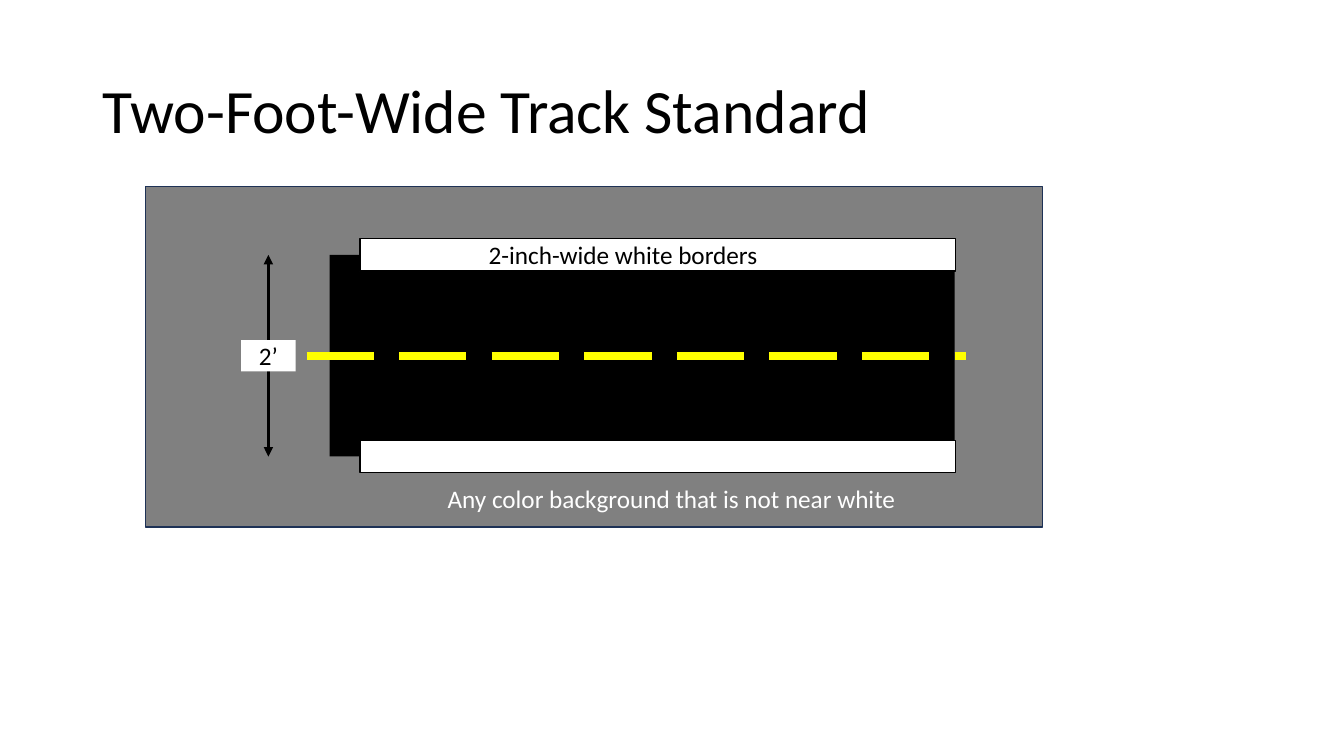
import dataclasses

import pptx
import pptx.dml.color
import pptx.enum.dml
import pptx.enum.shapes
import pptx.enum.text
import pptx.oxml
import pptx.oxml.ns
import pptx.util


@dataclasses.dataclass(frozen=True)
class Theme:
    font: str = "Calibri"
    title_size: int = 44
    label_size: int = 18
    ground: str = "808080"
    ground_edge: str = "1E3256"
    ink: str = "000000"
    paper: str = "FFFFFF"
    lane: str = "FFFF00"


def rgb(code):
    return pptx.dml.color.RGBColor.from_string(code)


def write(frame, text, size, color, font, align="LEFT", anchor="TOP", spacing=1.0, wrap=False):
    frame.word_wrap = wrap
    frame.vertical_anchor = getattr(pptx.enum.text.MSO_ANCHOR, anchor)
    paragraph = frame.paragraphs[0]
    paragraph.alignment = getattr(pptx.enum.text.PP_ALIGN, align)
    paragraph.line_spacing = spacing
    run = paragraph.add_run()
    run.text = text
    run.font.name = font
    run.font.size = pptx.util.Pt(size)
    run.font.color.rgb = rgb(color)


class TrackSlide:
    """Draws styled elements on one slide, placed on a grid of 32 columns by 18 rows."""

    columns, rows = 32, 18

    def __init__(self, deck, theme):
        self.theme = theme
        self.slide = deck.slides.add_slide(deck.slide_layouts[6])
        self.column = deck.slide_width / self.columns
        self.row = deck.slide_height / self.rows

    def place(self, *lengths):
        units = (self.column, self.row) * 2
        return [round(length * unit) for length, unit in zip(lengths, units)]

    def block(self, left, top, width, height, fill, edge=None):
        block = self.slide.shapes.add_shape(
            pptx.enum.shapes.MSO_SHAPE.RECTANGLE, *self.place(left, top, width, height))
        block.shadow.inherit = False
        block.fill.solid()
        block.fill.fore_color.rgb = rgb(fill)
        if edge:
            block.line.color.rgb = rgb(edge)
            block.line.width = pptx.util.Pt(1)
        else:
            block.line.fill.background()
        return block

    def caption(self, left, top, width, height, text, **style):
        box = self.slide.shapes.add_textbox(*self.place(left, top, width, height))
        write(box.text_frame, text, font=self.theme.font, **style)

    def stroke(self, x1, y1, x2, y2, color, weight, dash=None, arrows=False):
        stroke = self.slide.shapes.add_connector(
            pptx.enum.shapes.MSO_CONNECTOR.STRAIGHT, *self.place(x1, y1, x2, y2))
        stroke.line.color.rgb = rgb(color)
        stroke.line.width = pptx.util.Pt(weight)
        if dash:
            stroke.line.dash_style = dash
        if arrows:
            outline = stroke.line._get_or_add_ln()
            for end in ("a:headEnd", "a:tailEnd"):
                arrow = pptx.oxml.xmlchemy.OxmlElement(end)
                arrow.set("type", "triangle")
                outline.append(arrow)
        stroke._element.spPr.append(pptx.oxml.xmlchemy.OxmlElement("a:effectLst"))


def main():
    deck = pptx.Presentation()
    deck.slide_width = pptx.util.Inches(13.33)
    deck.slide_height = pptx.util.Inches(7.5)
    theme = Theme()
    page = TrackSlide(deck, theme)

    track_left, track_top, track_width, track_height = 7.85, 6.07, 14.88, 4.8
    track_bottom = track_top + track_height
    track_middle = track_top + track_height / 2
    border_left, border_width, border_height = 8.57, 14.18, 0.77
    gauge_x, gauge_width, gauge_height = 6.39, 1.3, 0.74

    page.block(3.46, 4.44, 21.36, 8.11, theme.ground, theme.ground_edge)
    page.caption(2.21, 0.96, 27.6, 3.48, "Two-Foot-Wide Track Standard",
                 size=theme.title_size, color=theme.ink,
                 anchor="MIDDLE", spacing=0.9, wrap=True)
    page.block(track_left, track_top, track_width, track_height, theme.ink)

    page.stroke(gauge_x, track_top, gauge_x, track_bottom, theme.ink, 2.25, arrows=True)
    gauge = page.block(gauge_x - gauge_width / 2, track_middle - gauge_height / 2,
                       gauge_width, gauge_height, theme.paper)
    write(gauge.text_frame, "2’", size=theme.label_size, color=theme.ink,
          font=theme.font, align="CENTER", anchor="MIDDLE", wrap=True)

    for track_edge in (track_top, track_bottom):
        page.block(border_left, track_edge - border_height / 2,
                   border_width, border_height, theme.paper, theme.ink)
    page.stroke(7.3, track_middle, 22.99, track_middle, theme.lane, 6,
                dash=pptx.enum.dml.MSO_LINE.LONG_DASH)

    page.caption(11.4, 5.59, 6.96, 0.96, "2-inch-wide white borders",
                 size=theme.label_size, color=theme.ink)
    page.caption(10.42, 11.38, 11.28, 0.96, "Any color background that is not near white",
                 size=theme.label_size, color=theme.paper)
    deck.save("out.pptx")


if __name__ == "__main__":
    main()
